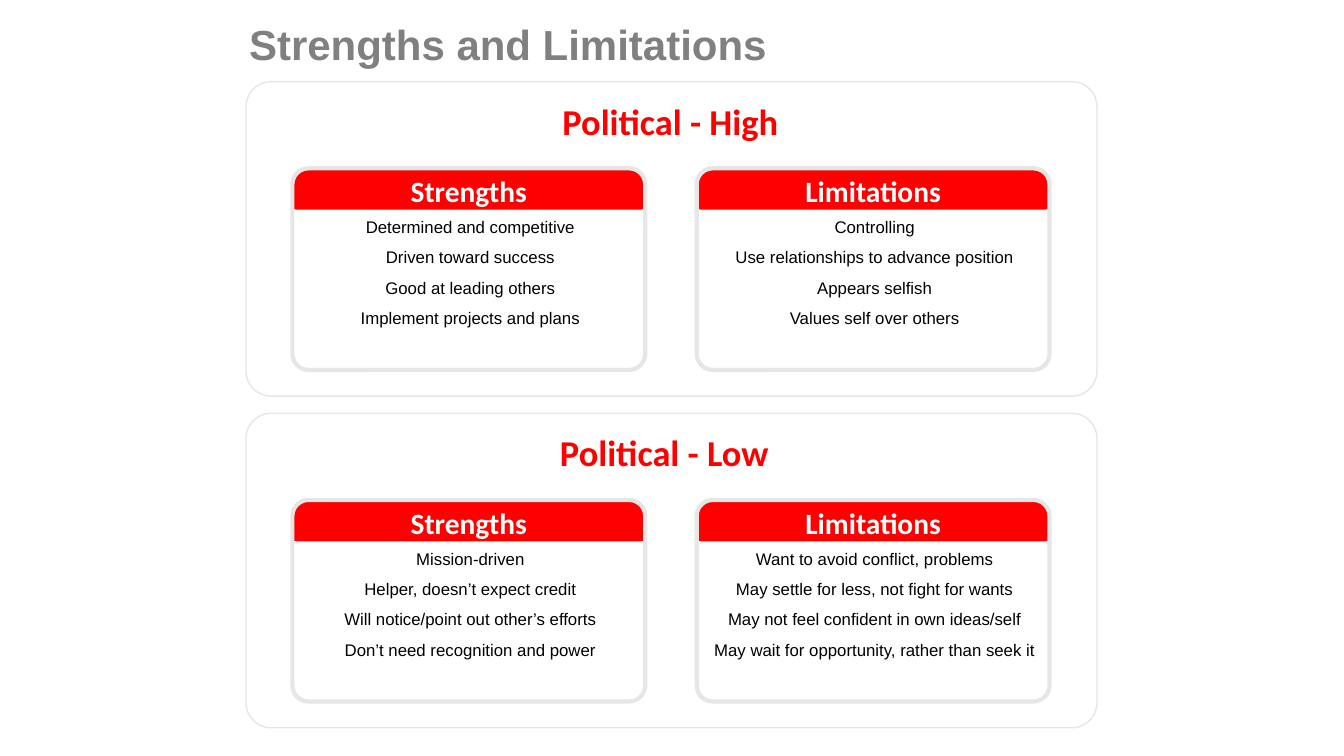
from dataclasses import dataclass

import pptx
import pptx.dml.color
import pptx.enum.shapes
import pptx.enum.text
import pptx.util

SHAPE = pptx.enum.shapes.MSO_SHAPE
ALIGN = pptx.enum.text.PP_ALIGN
ANCHOR = pptx.enum.text.MSO_ANCHOR
EMU_PER_PX = 9144  # 100 px to the inch


@dataclass(frozen=True)
class Theme:
    grey: str = "808080"
    border: str = "E7E6E6"
    red: str = "FF0000"
    white: str = "FFFFFF"
    black: str = "000000"
    sans: str = "Arial"
    heading_font: str = "Calibri"
    title_size: int = 30
    heading_size: int = 26
    header_size: int = 21
    body_size: int = 12


@dataclass(frozen=True)
class Box:
    x: int
    y: int
    w: int
    h: int


@dataclass(frozen=True)
class Card:
    header: str
    lines: tuple[str, ...]


@dataclass(frozen=True)
class Panel:
    heading: str
    heading_x: int
    cards: tuple[Card, ...]


THEME = Theme()
PANEL_TOP, PANEL_PITCH = 81, 329
CARD_LEFT, CARD_PITCH = 290, 401

PANELS = (
    Panel("Political - High", 498, (
        Card("Strengths", (
            "Determined and competitive",
            "Driven toward success",
            "Good at leading others",
            "Implement projects and plans",
        )),
        Card("Limitations", (
            "Controlling",
            "Use relationships to advance position",
            "Appears selfish",
            "Values self over others",
        )),
    )),
    Panel("Political - Low", 492, (
        Card("Strengths", (
            "Mission-driven",
            "Helper, doesn’t expect credit",
            "Will notice/point out other’s efforts",
            "Don’t need recognition and power",
        )),
        Card("Limitations", (
            "Want to avoid conflict, problems",
            "May settle for less, not fight for wants",
            "May not feel confident in own ideas/self",
            "May wait for opportunity, rather than seek it",
        )),
    )),
)


def px(n: int) -> pptx.util.Emu:
    return pptx.util.Emu(n * EMU_PER_PX)


def rgb(color: str) -> pptx.dml.color.RGBColor:
    return pptx.dml.color.RGBColor.from_string(color)


def place(sp, box: Box) -> None:
    sp.left, sp.top, sp.width, sp.height = map(px, (box.x, box.y, box.w, box.h))


def write(sp, *lines: str, size: int, color: str, font: str, bold: bool = True,
          align=ALIGN.CENTER, anchor=ANCHOR.TOP, wrap: bool = True,
          line_spacing: float = 1.0, gap: float = 0) -> None:
    """Fill a shape with one paragraph per line."""
    tf = sp.text_frame
    tf.word_wrap = wrap
    tf.auto_size = pptx.enum.text.MSO_AUTO_SIZE.NONE
    tf.vertical_anchor = anchor
    for i, line in enumerate(lines):
        p = tf.paragraphs[0] if i == 0 else tf.add_paragraph()
        p.alignment = align
        p.line_spacing = line_spacing
        p.space_before = pptx.util.Pt(gap if i else 0)
        r = p.add_run()
        r.text = line
        r.font.size = pptx.util.Pt(size)
        r.font.name = font
        r.font.bold = bold
        r.font.color.rgb = rgb(color)


def add_text(slide, box: Box, *lines: str, **fmt) -> None:
    sp = slide.shapes.add_textbox(0, 0, 0, 0)
    place(sp, box)
    write(sp, *lines, **fmt)


def add_frame(slide, box: Box, radius: float, line_width: int) -> None:
    """Draw an unfilled rounded outline."""
    sp = slide.shapes.add_shape(SHAPE.ROUNDED_RECTANGLE, 0, 0, 0, 0)
    place(sp, box)
    sp.shadow.inherit = False
    sp.adjustments[0] = radius
    sp.fill.background()
    sp.line.color.rgb = rgb(THEME.border)
    sp.line.width = pptx.util.Pt(line_width)


def add_card(slide, card: Card, x: int, y: int) -> None:
    # Body text
    add_text(slide, Box(x - 18, y + 42, 389, 125), *card.lines,
             size=THEME.body_size, color=THEME.black, font=THEME.sans,
             bold=False, line_spacing=1.05, gap=6.6)
    # Header band
    sp = slide.shapes.add_shape(SHAPE.ROUND_2_SAME_RECTANGLE, 0, 0, 0, 0)
    place(sp, Box(x, y + 1, 350, 40))
    sp.shadow.inherit = False
    sp.adjustments[0], sp.adjustments[1] = 0.37, 0.1
    sp.fill.solid()
    sp.fill.fore_color.rgb = rgb(THEME.red)
    sp.line.fill.background()
    write(sp, card.header, size=THEME.header_size, color=THEME.white,
          font=THEME.heading_font, anchor=ANCHOR.MIDDLE, wrap=False)
    # Outline over the band
    add_frame(slide, Box(x, y, 350, 200), 0.08, 3)


def add_panel(slide, panel: Panel, y: int) -> None:
    add_frame(slide, Box(244, y, 844, 312), 0.08, 1)
    add_text(slide, Box(panel.heading_x, y + 12, 334, 53), panel.heading,
             size=THEME.heading_size, color=THEME.red, font=THEME.heading_font)
    for i, card in enumerate(panel.cards):
        add_card(slide, card, CARD_LEFT + i * CARD_PITCH, y + 86)


def main() -> None:
    prs = pptx.Presentation()
    prs.slide_width, prs.slide_height = px(1333), px(750)
    slide = prs.slides.add_slide(prs.slide_layouts.get_by_name("Title Only"))

    # Title
    title = slide.shapes.title
    place(title, Box(237, 13, 534, 60))
    write(title, "Strengths and Limitations", size=THEME.title_size,
          color=THEME.grey, font=THEME.sans, align=ALIGN.LEFT, wrap=False)

    # High and low panels
    for i, panel in enumerate(PANELS):
        add_panel(slide, panel, PANEL_TOP + i * PANEL_PITCH)

    prs.save("out.pptx")


if __name__ == "__main__":
    main()
